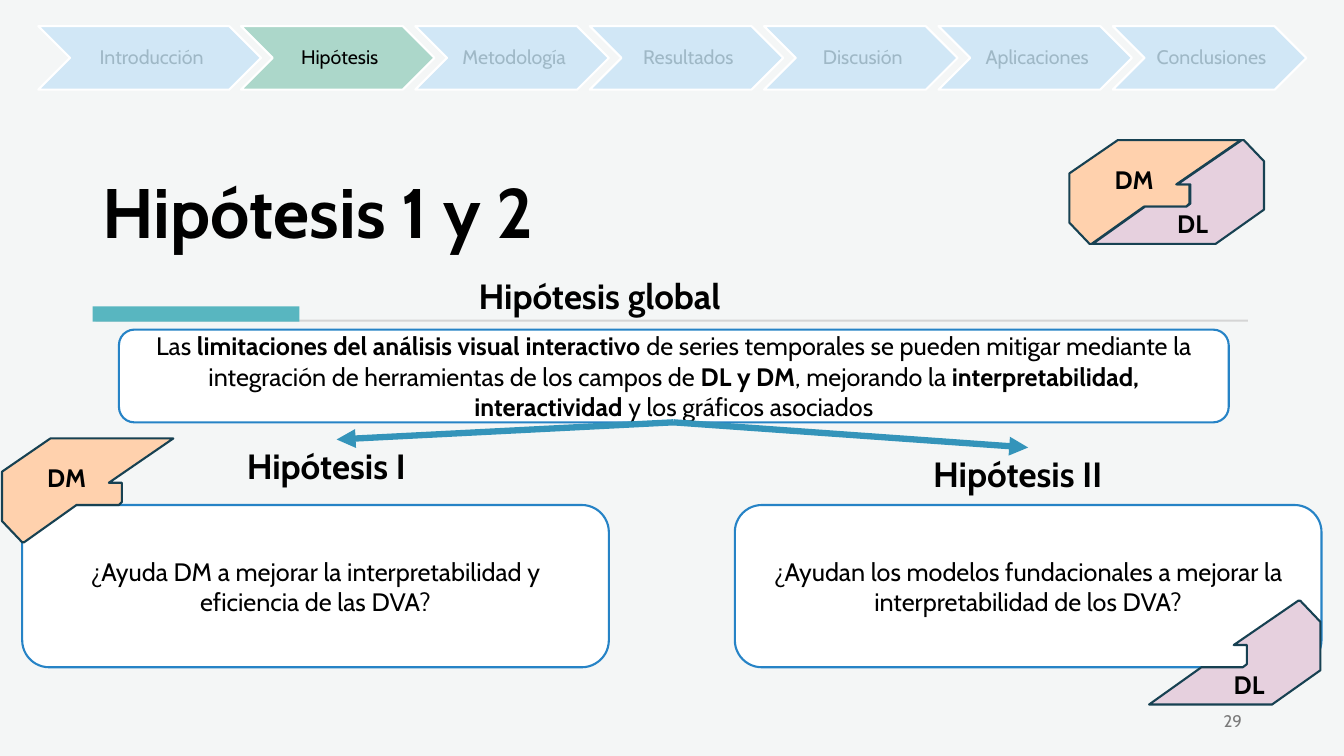
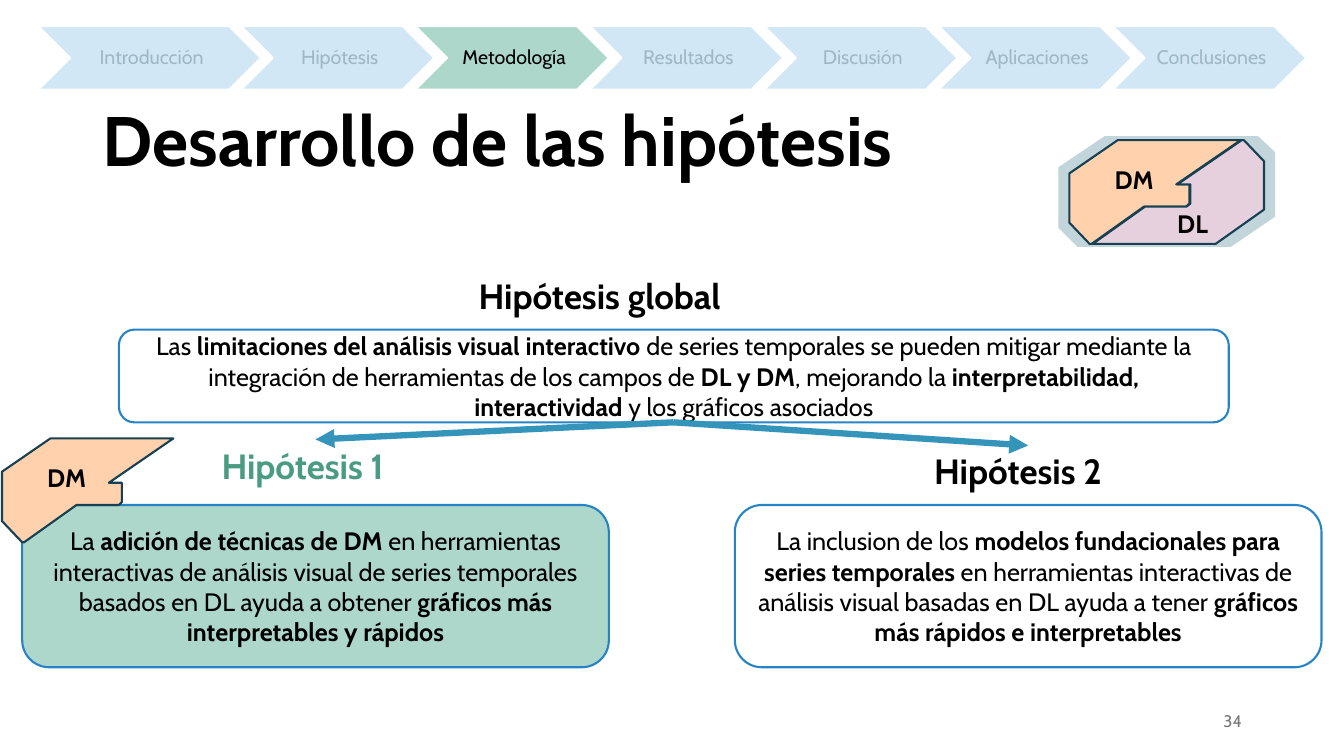
from lxml.etree import SubElement
from pptx import Presentation
from pptx.dml.color import RGBColor
from pptx.enum.shapes import MSO_CONNECTOR, MSO_SHAPE
from pptx.enum.text import MSO_ANCHOR as Anchor, PP_ALIGN as Align
from pptx.oxml.ns import qn
from pptx.util import Pt

PX = 9144  # EMU in one px, 100 px to the inch
FONT = "Cabin"

BLACK = RGBColor(0x00, 0x00, 0x00)
WHITE = RGBColor(0xFF, 0xFF, 0xFF)
PALE_GREY = RGBColor(0xF4, 0xF6, 0xF6)
RULE_GREY = RGBColor(0xD5, 0xD5, 0xD5)
NUMBER_GREY = RGBColor(0x79, 0x79, 0x79)
TEAL = RGBColor(0x58, 0xB6, 0xC0)
BLUE = RGBColor(0x26, 0x83, 0xC6)
ARROW_BLUE = RGBColor(0x34, 0x94, 0xBA)
STEP_BLUE = RGBColor(0xD1, 0xE7, 0xF6)
STEP_TEXT = RGBColor(0x9F, 0xB8, 0xC6)
MINT = RGBColor(0xAC, 0xD7, 0xCA)
GREEN = RGBColor(0x4A, 0x9B, 0x83)
PEACH = RGBColor(0xFF, 0xD1, 0xAD)
PINK = RGBColor(0xE6, 0xD0, 0xDE)
NAVY = RGBColor(0x17, 0x41, 0x52)
HALO_BLUE = RGBColor(0x84, 0xAC, 0xB6)

STEPS = ["Introducción", "Hipótesis", "Metodología", "Resultados",
         "Discusión", "Aplicaciones", "Conclusiones"]
GLOBAL_HYPOTHESIS = (
    "Las **limitaciones del análisis visual interactivo** de series temporales "
    "se pueden mitigar mediante la integración de herramientas de los campos de "
    "**DL y DM**, mejorando la **interpretabilidad, interactividad** y los "
    "gráficos asociados")

# Outline, fill and label offset, measured from the top left of each piece
PIECES = {
    "DM": ([(48, 0), (170, 0), (106, 44), (119, 44), (119, 63), (116, 66),
            (74, 66), (22, 103), (20, 103), (0, 82), (0, 33)], PEACH, (35, 19)),
    "DL": ([(148, 0), (150, 0), (170, 21), (170, 69), (122, 103), (0, 103),
            (52, 66), (93, 66), (97, 63), (97, 44), (84, 44)], PINK, (74, 63)),
}
HALO_OUTER = [(1096, 135), (1248, 135), (1265, 151), (1265, 215),
              (1221, 245), (1069, 245), (1050, 226), (1050, 166)]
HALO_INNER = [(1110, 139), (1061, 172), (1061, 221), (1080, 240), (1135, 204),
              (1135, 205), (1139, 205), (1086, 242), (1206, 242), (1254, 208),
              (1254, 160), (1235, 141), (1173, 183), (1165, 183), (1231, 139)]
LOGO_PIECES = [("DM", 1061, 139), ("DL", 1084, 139)]

SLIDES = [
    {
        "title": "Hipótesis 1 y 2", "title_box": (92, 47, 1149, 210),
        "background": PALE_GREY, "step": "Hipótesis", "number": "29",
        "rule": True, "halo": False,
        "hypotheses": [
            ("Hipótesis I", BLACK, (235, 436, 198, 52), (334, 436), WHITE,
             "¿Ayuda DM a mejorar la interpretabilidad y eficiencia de las DVA?"),
            ("Hipótesis II", BLACK, (916, 444, 208, 52), (1020, 444), WHITE,
             "¿Ayudan los modelos fundacionales a mejorar la interpretabilidad "
             "de los DVA?"),
        ],
        "pieces": LOGO_PIECES + [("DM", 2, 435), ("DL", 1140, 596)],
    },
    {
        "title": "Desarrollo de las hipótesis", "title_box": (92, 40, 1150, 145),
        "background": WHITE, "step": "Metodología", "number": "34",
        "rule": False, "halo": True,
        "hypotheses": [
            ("Hipótesis 1", GREEN, (210, 436, 206, 52), (313, 436), MINT,
             "La **adición de técnicas de DM **en herramientas interactivas de "
             "análisis visual de series temporales basados en DL ayuda a obtener "
             "**gráficos más interpretables y rápidos**"),
            ("Hipótesis 2", BLACK, (917, 441, 206, 52), (1020, 442), WHITE,
             "La inclusion de los **modelos fundacionales para series temporales "
             "**en herramientas interactivas de análisis visual basadas en DL "
             "ayuda a tener **gráficos más rápidos e interpretables**"),
        ],
        "pieces": LOGO_PIECES + [("DM", 2, 435)],
    },
]


def write(shape, text, size, colour=BLACK, align=Align.LEFT,
          anchor=Anchor.TOP, spacing=1.0, wrap=True):
    """Fill the shape with one paragraph; ** switches bold on and off."""
    frame = shape.text_frame
    frame.word_wrap = wrap
    frame.vertical_anchor = anchor
    paragraph = frame.paragraphs[0]
    paragraph.alignment = align
    paragraph.line_spacing = spacing
    for index, part in enumerate(text.split("**")):
        if part:
            run = paragraph.add_run()
            run.text = part
            run.font.name = FONT
            run.font.size = Pt(size)
            run.font.bold = index % 2 == 1
            run.font.color.rgb = colour


def paint(shape, fill, line=None):
    shape.shadow.inherit = False
    shape.fill.solid()
    shape.fill.fore_color.rgb = fill
    if line is None:
        shape.line.fill.background()
    else:
        shape.line.color.rgb = line
        shape.line.width = Pt(1.5)


presentation = Presentation()
presentation.slide_height = 750 * PX
presentation.slide_width = presentation.slide_height * 16 // 9
title_only = presentation.slide_layouts[5]

for content in SLIDES:
    slide = presentation.slides.add_slide(title_only)
    shapes = slide.shapes
    slide.background.fill.solid()
    slide.background.fill.fore_color.rgb = content["background"]

    title = shapes.title
    title.left, title.top, title.width, title.height = (
        length * PX for length in content["title_box"])
    write(title, f"**{content['title']}**", 50, anchor=Anchor.BOTTOM, spacing=0.9)

    if content["rule"]:
        for box, colour in [((95, 317, 1143, 2), RULE_GREY),
                            ((92, 304, 205, 15), TEAL)]:
            bar = shapes.add_shape(MSO_SHAPE.RECTANGLE,
                                   *(length * PX for length in box))
            paint(bar, colour)

    # Progress band: the first chevron is wider than the rest
    for index, step in enumerate(STEPS):
        left, width = (239 + 173 * (index - 1), 192) if index else (38, 221)
        chevron = shapes.add_shape(MSO_SHAPE.CHEVRON, left * PX, 26 * PX,
                                   width * PX, 63 * PX)
        current = step == content["step"]
        paint(chevron, MINT if current else STEP_BLUE, WHITE)
        frame = chevron.text_frame
        frame.margin_left = 6 * PX
        frame.margin_right = frame.margin_top = frame.margin_bottom = 2 * PX
        write(chevron, step, 14, BLACK if current else STEP_TEXT,
              Align.CENTER, Anchor.MIDDLE, 0.9, wrap=False)

    # Statements: the global hypothesis above its two parts
    first, second = content["hypotheses"]
    statements = [((118, 327, 1101, 92), WHITE, GLOBAL_HYPOTHESIS),
                  ((22, 501, 582, 161), *first[4:]),
                  ((729, 501, 582, 161), *second[4:])]
    for box, fill, text in statements:
        statement = shapes.add_shape(MSO_SHAPE.FLOWCHART_ALTERNATE_PROCESS,
                                     *(length * PX for length in box))
        paint(statement, fill, BLUE)
        write(statement, text, 18, align=Align.CENTER, anchor=Anchor.MIDDLE)

    for hypothesis in content["hypotheses"]:
        end_x, end_y = hypothesis[3]
        arrow = shapes.add_connector(MSO_CONNECTOR.STRAIGHT, 668 * PX, 419 * PX,
                                     end_x * PX, end_y * PX)
        arrow.line.color.rgb = ARROW_BLUE
        arrow.line.width = Pt(4.5)
        SubElement(arrow.line._get_or_add_ln(), qn("a:tailEnd"), type="triangle")
        SubElement(arrow._element.spPr, qn("a:effectLst"))

    headings = [("Hipótesis global", BLACK, (465, 267, 279, 52)),
                first[:3], second[:3]]
    for text, colour, box in headings:
        heading = shapes.add_textbox(*(length * PX for length in box))
        write(heading, f"**{text}**", 25, colour, wrap=False)

    number = shapes.add_textbox(942 * PX, 695 * PX, 300 * PX, 40 * PX)
    write(number, content["number"], 12, NUMBER_GREY, Align.RIGHT, Anchor.MIDDLE)

    if content["halo"]:
        builder = shapes.build_freeform(*HALO_OUTER[0], scale=PX)
        builder.add_line_segments(HALO_OUTER[1:], close=True)
        builder.move_to(*HALO_INNER[0])
        builder.add_line_segments(HALO_INNER[1:], close=True)
        halo = builder.convert_to_shape()
        paint(halo, HALO_BLUE)
        halo_colour = halo._element.spPr.find(qn("a:solidFill"))[0]
        SubElement(halo_colour, qn("a:alpha"), val="50000")

    for name, left, top in content["pieces"]:
        outline, fill, (label_x, label_y) = PIECES[name]
        points = [(left + x, top + y) for x, y in outline]
        builder = shapes.build_freeform(*points[0], scale=PX)
        builder.add_line_segments(points[1:], close=True)
        paint(builder.convert_to_shape(), fill, NAVY)
        label = shapes.add_textbox((left + label_x) * PX, (top + label_y) * PX,
                                   61 * PX, 40 * PX)
        write(label, f"**{name}**", 18, wrap=False)

presentation.save("out.pptx")
